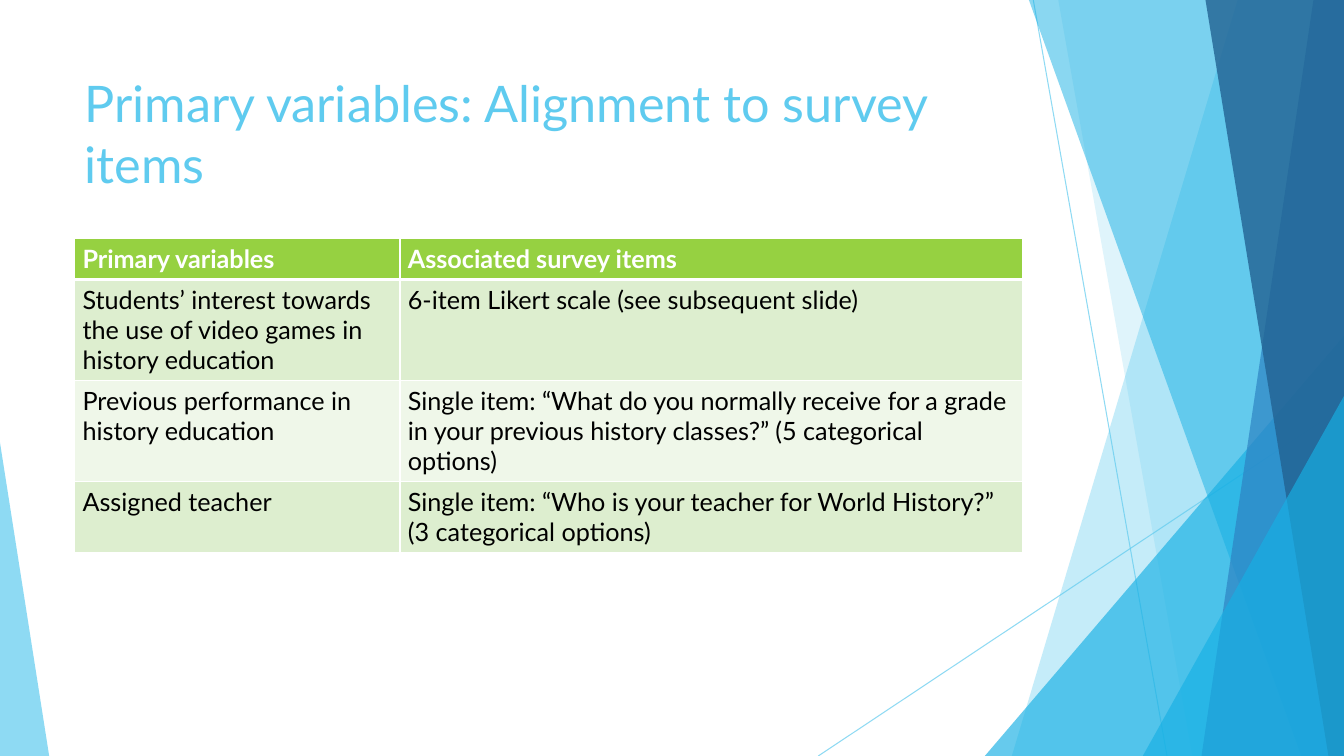
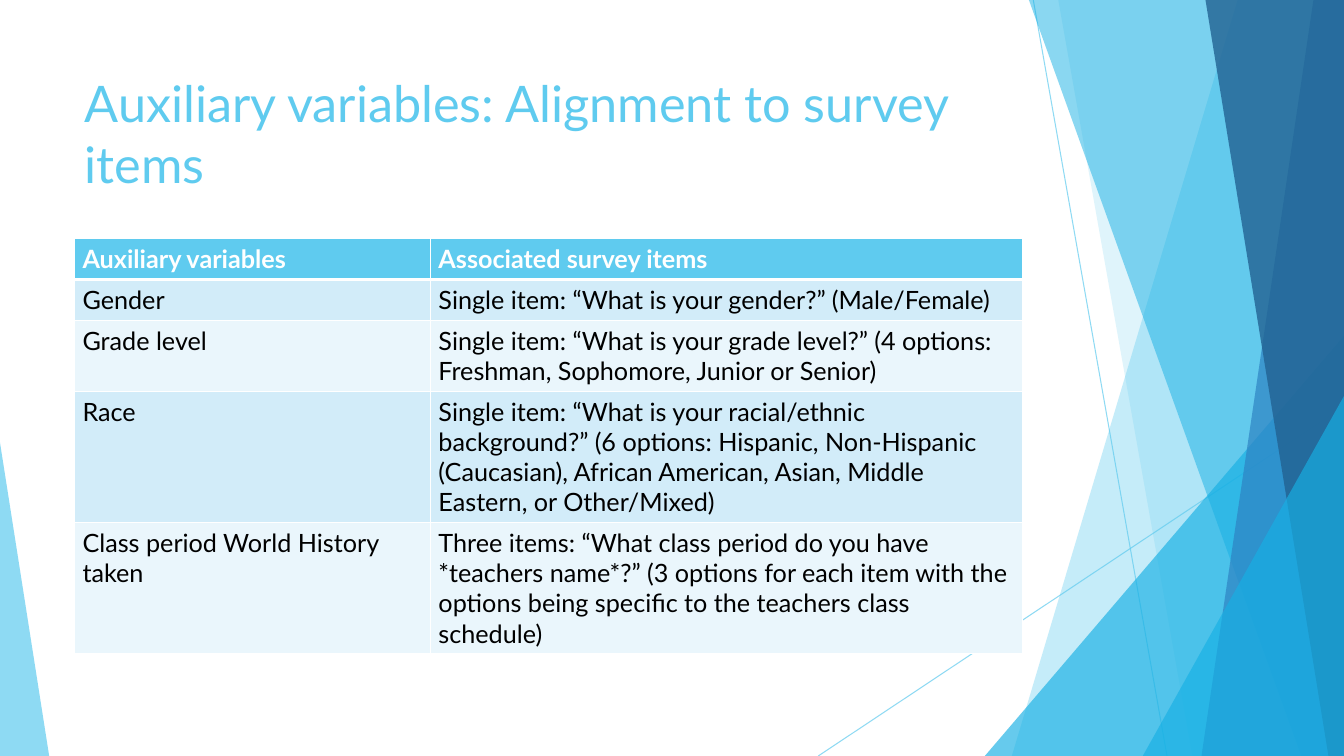
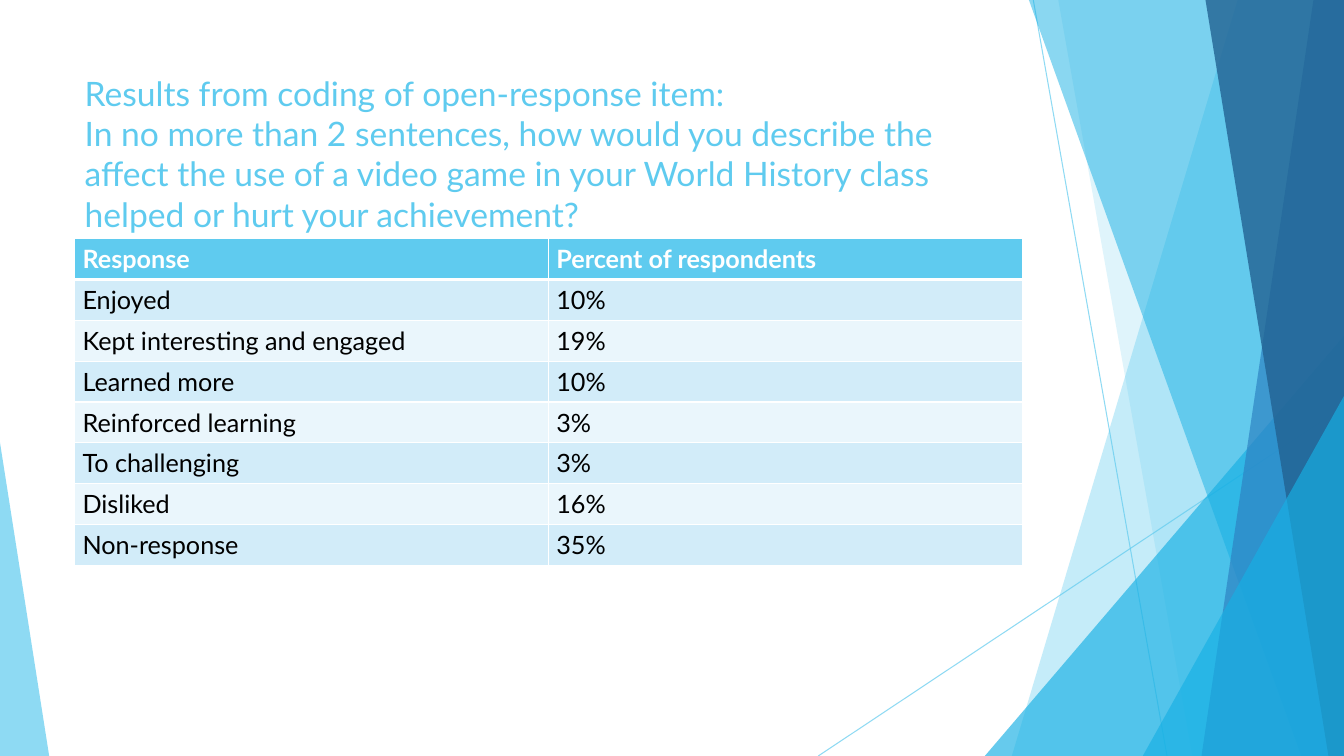
from lxml import etree
from pptx import Presentation, util as u
from pptx.dml.color import RGBColor
from pptx.enum import shapes, text
from pptx.oxml.ns import qn

FONT = "Lato"
SKY, CYAN, BLUE, NAVY = "5FCBEF", "17B0E4", "2E83C3", "226292"
WHITE, BLACK = "FFFFFF", "000000"
# Table schemes: header, odd rows, even rows
GREEN_TABLE = ("96D141", "DDEECF", "EFF7E9")
BLUE_TABLE = (SKY, "D2ECF9", "EAF6FC")

WIDTH, HEIGHT = 33.87, 19.05
TITLE_BOX = (1.88, 1.7, 23.88, 3.66)
TABLE_BOX = (1.88, 6.01, 23.88)
ROW_HEIGHT = 1.03

# Rays: start x, start y, end x, end y
RAYS = [(26.04, 0, 29.41, HEIGHT), (WIDTH, 10.24, 20.62, HEIGHT)]
# Bands reach the right edge: left x at the top, left x at the bottom, colour, opacity
BACK_BANDS = [(31.19, 25.5, SKY, 36), (26.67, 30.05, SKY, 20)]
FRONT_BANDS = [(25.93, 32.79, CYAN, 50), (33.1, 30.28, BLUE, 70), (30.38, 33.48, NAVY, 80)]


def colour(value):
    return RGBColor.from_string(value)


def set_opacity(element, percent):
    for node in element.iter(qn("a:srgbClr")):
        etree.SubElement(node, qn("a:alpha")).set("val", str(percent * 1000))


def paint(shape, fill, opacity):
    shape.shadow.inherit = False
    shape.fill.solid()
    shape.fill.fore_color.rgb = colour(fill)
    shape.line.fill.background()
    set_opacity(shape.element, opacity)


def style_runs(paragraph, size, fill, bold=False):
    for run in paragraph.runs:
        run.font.name = FONT
        run.font.size = u.Pt(size)
        run.font.bold = bold
        run.font.color.rgb = colour(fill)


def add_ray(slide, *ends):
    ray = slide.shapes.add_connector(shapes.MSO_CONNECTOR.STRAIGHT, *map(u.Cm, ends))
    ray.line.width = u.Pt(0.75)
    ray.line.color.rgb = colour(SKY)
    set_opacity(ray.element, 70)
    etree.SubElement(ray.element.spPr, qn("a:effectLst"))


def add_band(slide, top_x, bottom_x, fill, opacity):
    builder = slide.shapes.build_freeform(u.Cm(top_x), 0)
    corners = [(WIDTH, 0), (WIDTH, HEIGHT), (bottom_x, HEIGHT)]
    builder.add_line_segments([(u.Cm(x), u.Cm(y)) for x, y in corners])
    paint(builder.convert_to_shape(), fill, opacity)


def add_corner(slide, left, top, right, apex, fill, opacity):
    """Right-angled triangle standing on the lower edge of the slide."""
    triangle = slide.shapes.add_shape(
        shapes.MSO_SHAPE.ISOSCELES_TRIANGLE,
        u.Cm(left), u.Cm(top), u.Cm(right - left), u.Cm(HEIGHT - top))
    triangle.adjustments[0] = apex
    paint(triangle, fill, opacity)


def add_backdrop(slide):
    for ray in RAYS:
        add_ray(slide, *ray)
    for band in BACK_BANDS:
        add_band(slide, *band)
    add_corner(slide, 24.82, 8.46, WIDTH, 1, CYAN, 66)
    for band in FRONT_BANDS:
        add_band(slide, *band)
    add_corner(slide, 28.8, 9.98, WIDTH, 1, CYAN, 66)
    add_corner(slide, 0, 11.15, 1.24, 0, SKY, 70)


def set_title(slide, box, wording, size):
    title = slide.shapes.title
    title.left, title.top, title.width, title.height = map(u.Cm, box)
    frame = title.text_frame
    frame.text = wording
    frame.word_wrap = True
    frame.auto_size = text.MSO_AUTO_SIZE.NONE
    frame.vertical_anchor = text.MSO_ANCHOR.TOP
    paragraph = frame.paragraphs[0]
    paragraph.alignment = text.PP_ALIGN.LEFT
    style_runs(paragraph, size, SKY)


def set_borders(cell, header):
    properties = cell._tc.get_or_add_tcPr()
    for side in "LRTB":
        width = 3 if header and side == "B" else 1
        line = etree.SubElement(properties, qn(f"a:ln{side}"), w=str(u.Pt(width)))
        fill = etree.SubElement(line, qn("a:solidFill"))
        etree.SubElement(fill, qn("a:srgbClr"), val=WHITE)


def add_survey_table(slide, box, first_width, rows, scheme):
    left, top, width = box
    table = slide.shapes.add_table(
        len(rows), 2, u.Cm(left), u.Cm(top), u.Cm(width), u.Cm(ROW_HEIGHT * len(rows))).table
    table.columns[0].width = u.Cm(first_width)
    table.columns[1].width = u.Cm(width - first_width)
    header_fill, odd_fill, even_fill = scheme
    for index, row in enumerate(rows):
        header = index == 0
        table.rows[index].height = u.Cm(ROW_HEIGHT)
        for column, wording in enumerate(row):
            cell = table.cell(index, column)
            cell.text = wording
            cell.margin_left = cell.margin_right = u.Cm(0.2)
            cell.margin_top = cell.margin_bottom = u.Cm(0.13)
            style_runs(cell.text_frame.paragraphs[0], 18, WHITE if header else BLACK, header)
            # The header row's lower edge is shared with the first body row
            if index != 1:
                set_borders(cell, header)
            cell.fill.solid()
            cell.fill.fore_color.rgb = colour(
                header_fill if header else odd_fill if index % 2 else even_fill)


def add_table_slide(presentation, title, title_size, first_width, rows, scheme):
    slide = presentation.slides.add_slide(presentation.slide_layouts[5])
    add_backdrop(slide)
    set_title(slide, TITLE_BOX, title, title_size)
    add_survey_table(slide, TABLE_BOX, first_width, rows, scheme)


presentation = Presentation()
presentation.slide_width, presentation.slide_height = u.Cm(WIDTH), u.Cm(HEIGHT)

# Primary variables
add_table_slide(presentation, "Primary variables: Alignment to survey items", 36, 8.2, [
    ("Primary variables", "Associated survey items"),
    ("Students’ interest towards the use of video games in history education",
     "6-item Likert scale (see subsequent slide)"),
    ("Previous performance in history education",
     "Single item: “What do you normally receive for a grade in your previous history "
     "classes?” (5 categorical options)"),
    ("Assigned teacher",
     "Single item: “Who is your teacher for World History?” (3 categorical options)"),
], GREEN_TABLE)

# Auxiliary variables
add_table_slide(presentation, "Auxiliary variables: Alignment to survey items", 36, 8.97, [
    ("Auxiliary variables", "Associated survey items"),
    ("Gender", "Single item: “What is your gender?” (Male/Female)"),
    ("Grade level",
     "Single item: “What is your grade level?” (4 options: Freshman, Sophomore, Junior "
     "or Senior)"),
    ("Race",
     "Single item: “What is your racial/ethnic background?” (6 options: Hispanic, "
     "Non-Hispanic (Caucasian), African American, Asian, Middle Eastern, or Other/Mixed)"),
    ("Class period World History taken",
     "Three items: “What class period do you have *teachers name*?” (3 options for each "
     "item with the options being specific to the teachers class schedule)"),
], BLUE_TABLE)

# Open responses
add_table_slide(
    presentation,
    "Results from coding of open-response item:\v"
    "In no more than 2 sentences, how would you describe the affect the use of a video game "
    "in your World History class helped or hurt your achievement?", 24, 11.94, [
        ("Response", "Percent of respondents"),
        ("Enjoyed", "10%"),
        ("Kept interesting and engaged", "19%"),
        ("Learned more", "10%"),
        ("Reinforced learning", "3%"),
        ("To challenging", "3%"),
        ("Disliked", "16%"),
        ("Non-response", "35%"),
    ], BLUE_TABLE)

presentation.save("out.pptx")
